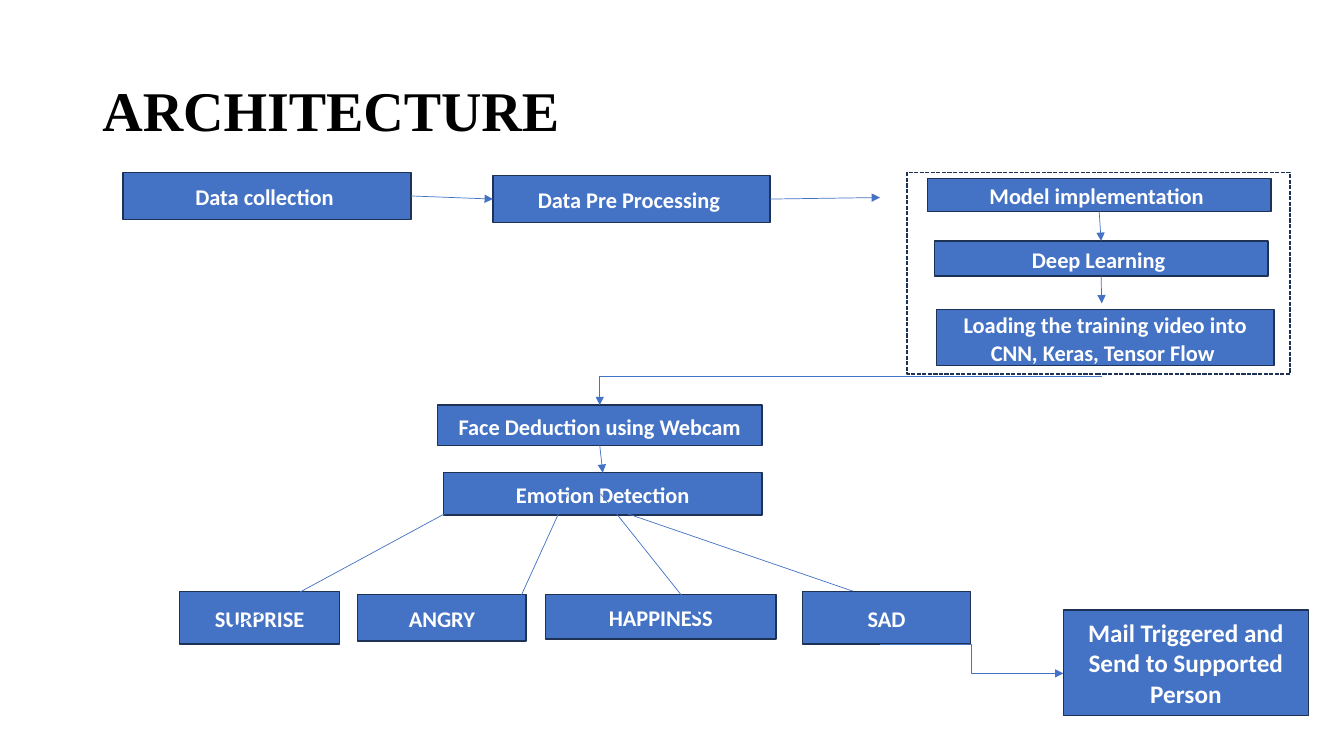
from dataclasses import dataclass
from pptx import Presentation
from pptx.util import Pt
from pptx.dml.color import RGBColor
from pptx.enum import dml, shapes, text
from pptx.oxml.ns import qn
from lxml import etree


@dataclass
class Theme:
    fill = RGBColor.from_string("4472C4")
    edge = RGBColor.from_string("1E3256")
    white = RGBColor.from_string("FFFFFF")
    black = RGBColor.from_string("000000")
    head = "Times New Roman"
    body = "Calibri"
    title = 40
    label = 16
    large = 18


deck = Presentation()
deck.slide_width, deck.slide_height = Pt(960), Pt(540)
slide = deck.slides.add_slide(deck.slide_layouts[5])


def box(label, left, top, width, height, size=Theme.label, space=1.06, after=8):
    shape = slide.shapes.add_shape(
        shapes.MSO_SHAPE.RECTANGLE, Pt(left), Pt(top), Pt(width), Pt(height))
    shape.shadow.inherit = False
    shape.fill.solid()
    shape.fill.fore_color.rgb = Theme.fill
    shape.line.color.rgb = Theme.edge
    shape.line.width = Pt(1)
    frame = shape.text_frame
    frame.word_wrap = True
    frame.vertical_anchor = text.MSO_ANCHOR.MIDDLE
    frame.text = label
    para = frame.paragraphs[0]
    para.alignment = text.PP_ALIGN.CENTER
    para.line_spacing, para.space_after = space, Pt(after)
    font = para.font if not para.runs else para.runs[0].font
    font.name, font.size, font.bold = Theme.body, Pt(size), True
    font.color.rgb = Theme.white
    return shape


def link(start, end, kind=shapes.MSO_CONNECTOR.STRAIGHT):
    """Each end is an (x, y) point or a (shape, side) pair."""
    ends = [(0, 0) if hasattr(e[0], "shape_id") else e for e in (start, end)]
    line = slide.shapes.add_connector(kind, *(Pt(v) for e in ends for v in e))
    if hasattr(start[0], "shape_id"):
        line.begin_connect(*start)
    if hasattr(end[0], "shape_id"):
        line.end_connect(*end)
    line.line.color.rgb = Theme.fill
    line.line.width = Pt(0.5)
    tip = etree.SubElement(line.line._get_or_add_ln(), qn("a:tailEnd"))
    tip.set("type", "triangle")
    etree.SubElement(line._element.spPr, qn("a:effectLst"))
    return line


# Title
title = slide.shapes.title
title.left, title.top, title.width, title.height = Pt(66), Pt(28.8), Pt(828), Pt(104.4)
title.text_frame.text = "ARCHITECTURE"
title.text_frame.vertical_anchor = text.MSO_ANCHOR.MIDDLE
para = title.text_frame.paragraphs[0]
para.alignment, para.line_spacing = text.PP_ALIGN.LEFT, 0.9
font = para.runs[0].font
font.name, font.size, font.bold = Theme.head, Pt(Theme.title), True
font.color.rgb = Theme.black

# Data steps
data = box("Data collection ", 87.8, 123.1, 205.9, 33.8)
prep = box("Data Pre Processing ", 352.1, 125.3, 198, 33.8)

# Model steps in a dashed frame
group = box("", 648, 123.1, 273.6, 144)
group.fill.background()
group.line.dash_style = dml.MSO_LINE.SQUARE_DOT
model = box("Model implementation ", 662.4, 127.4, 245.5, 23.8)
deep = box("Deep Learning ", 667.4, 172.1, 238.3, 25.2)
box("Loading the training video into CNN, Keras, Tensor Flow ", 668.9, 221, 241.2, 40.3)

# Detection steps and the middle emotions
face = box("Face Deduction using Webcam", 312.5, 289.4, 231.8, 28.8)
mood = box("Emotion Detection", 316.8, 337.7, 227.5, 30.2)
box("ANGRY", 255.6, 424.8, 120.2, 33.1)
box("HAPPINESS", 389.5, 424.8, 164.9, 31.7)

# Arrows between the steps
for start, end in [
    ((data, 3), (prep, 1)),
    ((prep, 3), (628.6, 141.1)),
    ((model, 2), (deep, 0)),
    ((deep, 2), (787, 216.7)),
    ((face, 2), (mood, 0)),
    ((438.5, 363.6), (648, 435.6)),
]:
    link(start, end)

# Outer emotions and the rest of the fan
box("SAD", 573.1, 422.6, 120.2, 37.4)
box("SURPRISE", 128.2, 422.6, 114.5, 37.4)
for start, end in [
    ((330.5, 360), (164.2, 450)),
    ((405.4, 352.8), (365, 441.4)),
    ((429.1, 352.8), (499.7, 441.4)),
]:
    link(start, end)

# Bent arrows: model to webcam, sad to mail
turn = link((787, 268.6), (face, 0), shapes.MSO_CONNECTOR.ELBOW)
turn._element.spPr.find(qn("a:prstGeom")).set("prst", "bentConnector2")
link((628.6, 460.1), (759.6, 481), shapes.MSO_CONNECTOR.ELBOW)
box("Mail Triggered and Send to Supported Person",
    759.6, 435.6, 175, 75.6, Theme.large, 1.0, 0)

deck.save("out.pptx")
